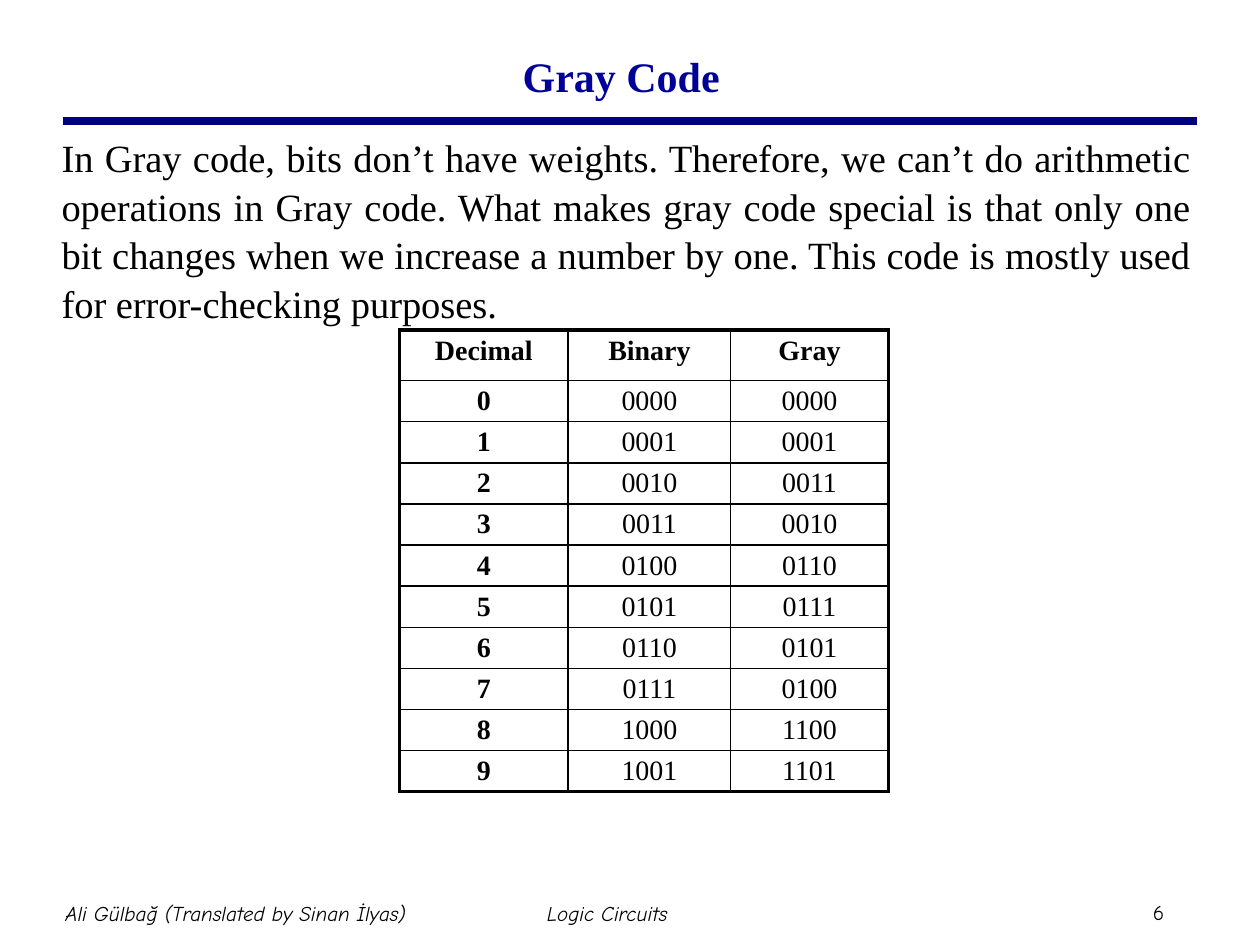
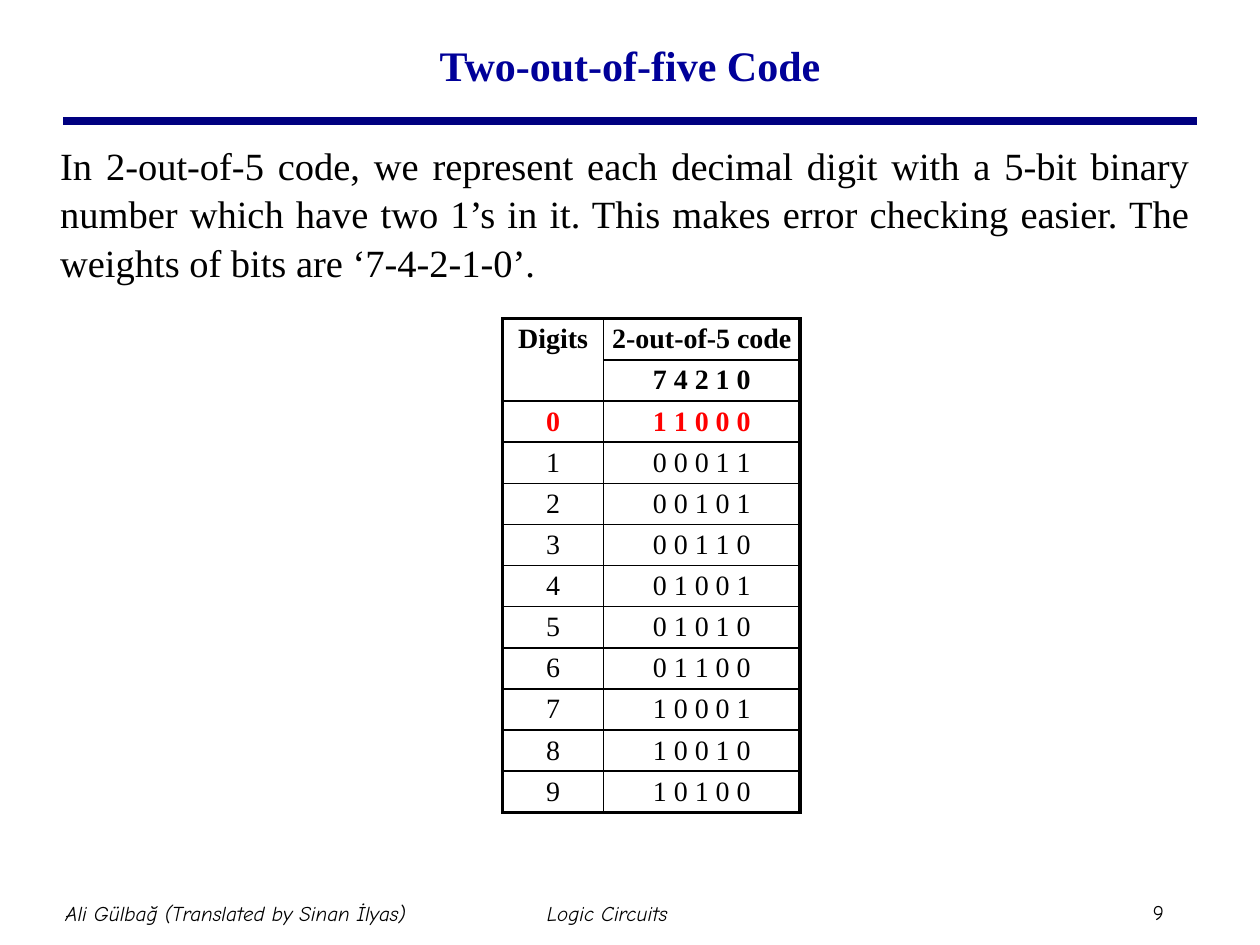
"""Build two lecture slides on the Gray and two-out-of-five codes."""
from lxml.etree import SubElement
from pptx import Presentation
from pptx.dml.color import RGBColor
from pptx.enum.shapes import MSO_CONNECTOR
from pptx.enum.text import MSO_ANCHOR, PP_ALIGN
from pptx.oxml import parse_xml
from pptx.oxml.ns import nsdecls, qn
from pptx.util import Inches, Pt

WIDE, HIGH = 10, 7.5
NAVY = RGBColor(0, 0, 0x80)
BLUE = RGBColor(0, 0, 0x99)
BLACK = RGBColor(0, 0, 0)
RED = RGBColor(0xFF, 0, 0)
SERIF, HAND = "Times New Roman", "Comic Neue"
THICK, THIN = 2.25, 1

FOOT = [
    ("Ali Gülbağ (Translated by Sinan İlyas)", 0.08),
    ("Logic Circuits", 3.03),
]

GRAY = {
    "page": "6",
    "title": [("Gray Code", 24, True), (" ", 40, False)],
    "body": "In Gray code, bits don’t have weights. Therefore, we can’t do "
            "arithmetic operations in Gray code. What makes gray code special "
            "is that only one bit changes when we increase a number by one. "
            "This code is mostly used for error-checking purposes. ",
    "at": (0.39, 1),
    "grid": (3.17, 2.62, 6.27),
    "cols": [1.34, 1.29, 1.25],
    "head": 0.4,
    "rows": [
        ("Decimal", "Binary", "Gray"),
        ("0", "0000", "0000"),
        ("1", "0001", "0001"),
        ("2", "0010", "0011"),
        ("3", "0011", "0010"),
        ("4", "0100", "0110"),
        ("5", "0101", "0111"),
        ("6", "0110", "0101"),
        ("7", "0111", "0100"),
        ("8", "1000", "1100"),
        ("9", "1001", "1101"),
    ],
    "bold": lambda row, col: row == 0 or col == 0,
    "red": None,
    "merge": None,
}

FIVE = {
    "page": "9",
    "title": [("Two-out-of-five Code", 24, True)],
    "body": "In 2-out-of-5 code, we represent each decimal digit with a 5-bit "
            "binary number which have two 1’s in it. This makes error checking "
            "easier. The weights of bits are ‘7-4-2-1-0’.",
    "at": (0.38, 1.06),
    "grid": (3.99, 2.53, 6.43),
    "cols": [0.8, 1.56],
    "head": None,
    "rows": [
        ("Digits", "2-out-of-5 code"),
        ("", "7 4 2 1 0"),
        ("0", "1 1 0 0 0"),
        ("1", "0 0 0 1 1"),
        ("2", "0 0 1 0 1"),
        ("3", "0 0 1 1 0"),
        ("4", "0 1 0 0 1"),
        ("5", "0 1 0 1 0"),
        ("6", "0 1 1 0 0"),
        ("7", "1 0 0 0 1"),
        ("8", "1 0 0 1 0"),
        ("9", "1 0 1 0 0"),
    ],
    "bold": lambda row, col: row < 3,
    "red": 2,
    "merge": ((0, 0), (1, 0)),
}


def add_run(para, text, size, font=SERIF, color=BLACK, bold=False, slant=False):
    run = para.add_run()
    run.text = text
    face = run.font
    face.name, face.size = font, Pt(size)
    face.bold, face.italic = bold, slant
    face.color.rgb = color


def add_box(slide, place, align, anchor=MSO_ANCHOR.MIDDLE, inset=None):
    frame = slide.shapes.add_textbox(*map(Inches, place)).text_frame
    frame.word_wrap = True
    frame.vertical_anchor = anchor
    if inset is not None:
        frame.margin_left = frame.margin_right = Inches(inset)
        frame.margin_top = frame.margin_bottom = Inches(inset)
    para = frame.paragraphs[0]
    para.alignment = align
    return para


def add_frame(slide, page):
    rule = slide.shapes.add_connector(
        MSO_CONNECTOR.STRAIGHT, Inches(0.5), Inches(0.96),
        Inches(WIDE - 0.5), Inches(0.96))
    rule.line.color.rgb = NAVY
    rule.line.width = Pt(4.5)
    SubElement(rule._element.spPr, qn("a:effectLst"))
    para = add_box(slide, (9.1, 7.09, 0.47, 0.3), PP_ALIGN.LEFT, inset=0.05)
    add_run(para, page, 12, HAND)
    for text, left in FOOT:
        para = add_box(slide, (left, HIGH - 0.5, 3.58, 0.5),
                       PP_ALIGN.CENTER, inset=0.05)
        add_run(para, text, 12, HAND, slant=True)


def add_edges(cell, sides):
    props = cell._tc.get_or_add_tcPr()
    for spot, (side, width) in enumerate(sides.items()):
        props.insert(spot, parse_xml(
            f'<a:ln{side} {nsdecls("a")} w="{Pt(width)}"><a:solidFill>'
            f'<a:srgbClr val="{BLACK}"/></a:solidFill></a:ln{side}>'))


def add_grid(slide, deck):
    rows, cols = deck["rows"], deck["cols"]
    left, top, end = deck["grid"]
    head = deck["head"] or (end - top) / len(rows)
    step = (end - top - head) / (len(rows) - 1)
    table = slide.shapes.add_table(
        len(rows), len(cols), Inches(left), Inches(top),
        Inches(sum(cols)), Inches(end - top)).table
    table.first_row = table.horz_banding = False
    for col, width in enumerate(cols):
        table.columns[col].width = Inches(width)
    for row, texts in enumerate(rows):
        table.rows[row].height = Inches(step if row else head)
        for col, text in enumerate(texts):
            cell = table.cell(row, col)
            cell.margin_left = cell.margin_right = Inches(0.04)
            cell.margin_top, cell.margin_bottom = Inches(0.04), Inches(0.02)
            cell.fill.background()
            add_edges(cell, {
                "L": THIN if col else THICK,
                "R": THICK if col == len(cols) - 1 else THIN,
                "T": THIN if row else THICK,
                "B": THICK if row == len(rows) - 1 else THIN,
            })
            if text:
                para = cell.text_frame.paragraphs[0]
                para.alignment = PP_ALIGN.CENTER
                add_run(para, text, 16, bold=deck["bold"](row, col),
                        color=RED if row == deck["red"] else BLACK)
    if deck["merge"]:
        first, last = deck["merge"]
        table.cell(*first).merge(table.cell(*last))


def add_slide(show, deck):
    slide = show.slides.add_slide(show.slide_layouts[6])
    add_frame(slide, deck["page"])
    para = add_box(slide, (0.75, 0.08, WIDE - 1.5, 0.86), PP_ALIGN.CENTER)
    for text, size, bold in deck["title"]:
        add_run(para, text, size, color=BLUE, bold=bold)
    para = add_box(slide, (*deck["at"], 9.16, 5.6), PP_ALIGN.JUSTIFY,
                   MSO_ANCHOR.TOP)
    para.line_spacing = 1.05
    add_run(para, deck["body"], 22)
    add_grid(slide, deck)


def main():
    show = Presentation()
    show.slide_width, show.slide_height = Inches(WIDE), Inches(HIGH)
    for deck in (GRAY, FIVE):
        add_slide(show, deck)
    show.save("out.pptx")


if __name__ == "__main__":
    main()
